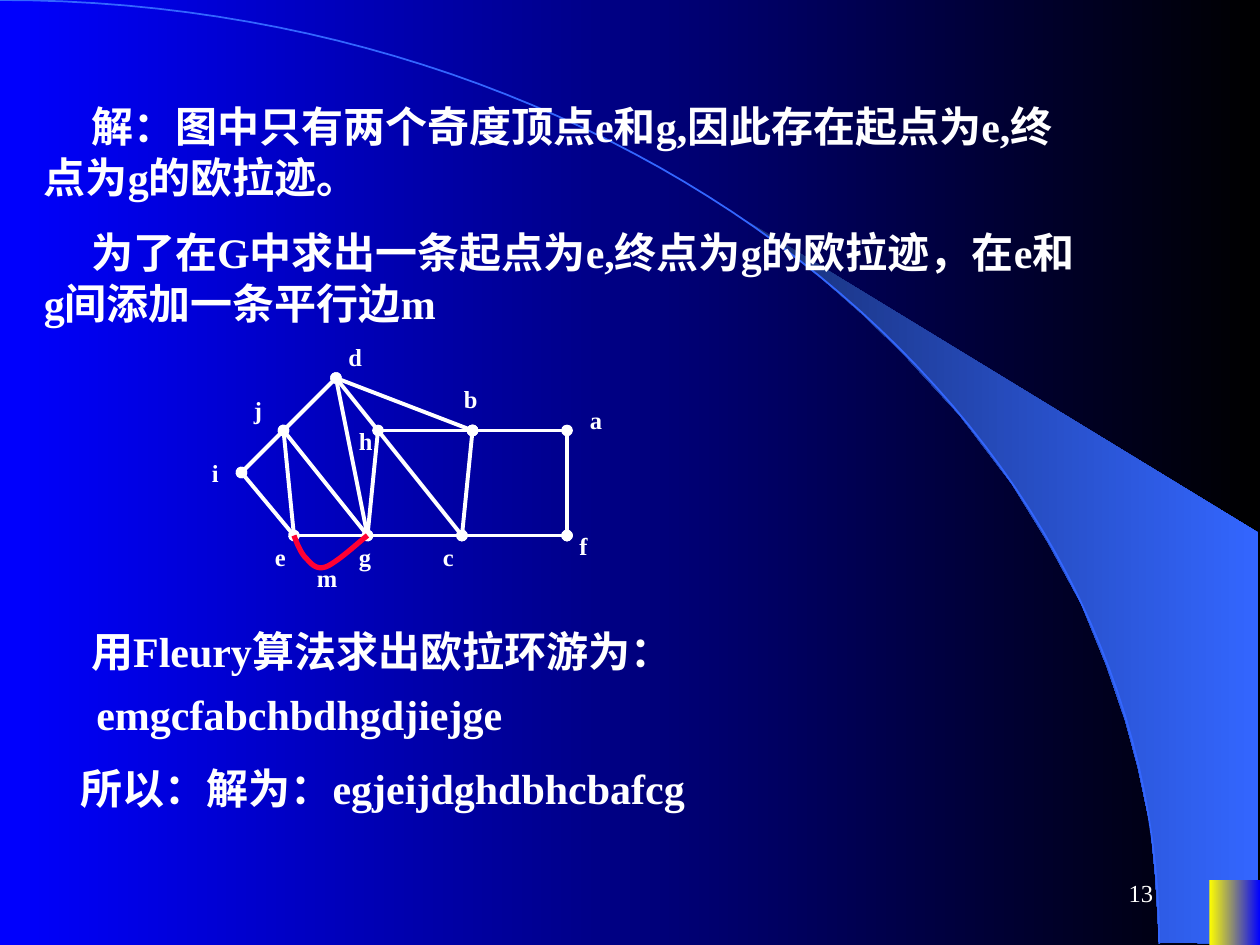
from lxml.etree import SubElement
from pptx import Presentation
from pptx.dml.color import RGBColor
from pptx.enum.shapes import MSO_CONNECTOR, MSO_SHAPE
from pptx.enum.text import MSO_ANCHOR, PP_ALIGN
from pptx.oxml.ns import qn
from pptx.util import Pt

WHITE = RGBColor(0xFF, 0xFF, 0xFF)
BLACK = RGBColor(0, 0, 0)
BLUE = RGBColor(0, 0, 0xFF)
NAVY = RGBColor(0x18, 0x2F, 0x76)
SKY = RGBColor(0x33, 0x66, 0xFF)
YELLOW = RGBColor(0xFF, 0xFF, 0)
RED = RGBColor(0xFF, 0, 0x33)
FONT = "Times New Roman"

# left, top, height, first-line indent, text
STATEMENTS = [
    (18, 54, 65, 27, "解：图中只有两个奇度顶点e和g,因此存在起点为e,终点为g的欧拉迹。"),
    (18, 126, 65, 27, "为了在G中求出一条起点为e,终点为g的欧拉迹，在e和g间添加一条平行边m"),
    (18, 354, 36, 27, "用Fleury算法求出欧拉环游为："),
    (18, 390, 36, 30, "emgcfabchbdhgdjiejge"),
    (12, 432, 36, 27, "所以：解为：egjeijdghdbhcbafcg"),
]
VERTICES = {
    "a": (324, 246), "b": (270, 246), "c": (264, 306), "d": (192, 216),
    "e": (168, 306), "f": (324, 306), "g": (210, 306), "h": (216, 246),
    "i": (138, 270), "j": (162, 246),
}
DOTTED_EDGES = "ji ie db jg dg hb bc cf af".split()
PLAIN_EDGES = "dj je eg dh hg gc hc ba".split()
LABELS = {
    "a": (330, 228), "f": (324, 300), "e": (150, 306), "d": (192, 192),
    "c": (246, 306), "b": (258, 216), "i": (114, 258), "h": (198, 240),
    "g": (198, 306), "j": (138, 222), "m": (174, 318),
}
# Bezier chains: a start, then two controls and an end per segment
EDGE_M = [(168, 306), (169.5, 310), (171.5, 315), (174, 318), (177, 321),
          (180, 326), (186, 324), (192, 322), (206, 309), (210, 306)]
ARC = [(0, 0), (365.8, 0), (662.4, 241.2), (662.4, 539.3)]
SAIL = [(662.4, 538.6), (719.3, 539.3), (719.3, 304.6), (424.1, 124.6),
        (449.3, 143.3), (470.2, 159.8), (493.2, 180), (515.5, 201.6),
        (548.6, 237.6), (578.2, 276.5), (599, 310.3), (617.8, 344.9),
        (632.2, 380.2), (643, 411.8), (650.2, 438.5), (657.4, 472.3),
        (660.2, 501.1)]


def set_gradient(fill, first, last):
    fill.gradient()
    fill.gradient_angle = 0
    for stop, position, color in zip(fill.gradient_stops, (0, 1), (first, last)):
        stop.position = position
        stop.color.rgb = color


def sample_bezier(chain, steps):
    points = [chain[0]]
    for k in range(0, len(chain) - 1, 3):
        p, q, r, s = chain[k:k + 4]
        for n in range(1, steps + 1):
            t = n / steps
            u = 1 - t
            points.append(tuple(
                u**3 * p[i] + 3 * u * u * t * q[i] + 3 * u * t * t * r[i] + t**3 * s[i]
                for i in (0, 1)))
    return points


def add_outline(page, points, close):
    emu = [(Pt(x), Pt(y)) for x, y in points]
    builder = page.shapes.build_freeform(*emu[0])
    builder.add_line_segments(emu[1:], close=close)
    shape = builder.convert_to_shape()
    shape.shadow.inherit = False
    return shape


def add_curve(page, chain, steps, color, width):
    shape = add_outline(page, sample_bezier(chain, steps), False)
    shape.fill.background()
    shape.line.color.rgb = color
    shape.line.width = Pt(width)


def add_edge(page, name, dotted):
    (x1, y1), (x2, y2) = (VERTICES[v] for v in name)
    edge = page.shapes.add_connector(
        MSO_CONNECTOR.STRAIGHT, Pt(x1), Pt(y1), Pt(x2), Pt(y2))
    edge.line.color.rgb = WHITE
    edge.line.width = Pt(2.25)
    properties = edge.element.spPr
    if dotted:
        line = properties.find(qn("a:ln"))
        for end in ("a:headEnd", "a:tailEnd"):
            SubElement(line, qn(end), type="oval")
    SubElement(properties, qn("a:effectLst"))


def add_text(page, text, left, top, width, height, size, bold=True):
    box = page.shapes.add_textbox(Pt(left), Pt(top), Pt(width), Pt(height))
    box.text_frame.word_wrap = True
    para = box.text_frame.paragraphs[0]
    para.text = text
    para.font.name = FONT
    para.font.size = Pt(size)
    para.font.bold = bold
    para.font.color.rgb = WHITE
    return box, para


def main():
    deck = Presentation()
    deck.slide_width, deck.slide_height = Pt(720), Pt(540)
    page = deck.slides.add_slide(deck.slide_layouts[6])
    set_gradient(page.background.fill, BLUE, BLACK)

    sail = add_outline(page, SAIL, True)
    set_gradient(sail.fill, NAVY, SKY)
    sail.line.fill.background()
    add_curve(page, ARC, 60, SKY, 1)

    corner = page.shapes.add_shape(
        MSO_SHAPE.RECTANGLE, Pt(691), Pt(502.8), Pt(29), Pt(37.2))
    corner.shadow.inherit = False
    set_gradient(corner.fill, YELLOW, BLUE)
    corner.line.fill.background()

    number_box, number = add_text(page, "13", 516, 492, 150, 36, 14, False)
    number_box.text_frame.vertical_anchor = MSO_ANCHOR.MIDDLE
    number.alignment = PP_ALIGN.RIGHT

    for left, top, height, indent, text in STATEMENTS:
        box, para = add_text(page, text, left, top, 606, height, 24)
        para._p.get_or_add_pPr().set("indent", str(Pt(indent)))

    for name in DOTTED_EDGES:
        add_edge(page, name, True)
    for name in PLAIN_EDGES:
        add_edge(page, name, False)
    add_curve(page, EDGE_M, 12, RED, 3)
    for name, (left, top) in LABELS.items():
        add_text(page, name, left, top, 25 if name == "m" else 31, 24.5, 14)

    deck.save("out.pptx")


if __name__ == "__main__":
    main()
